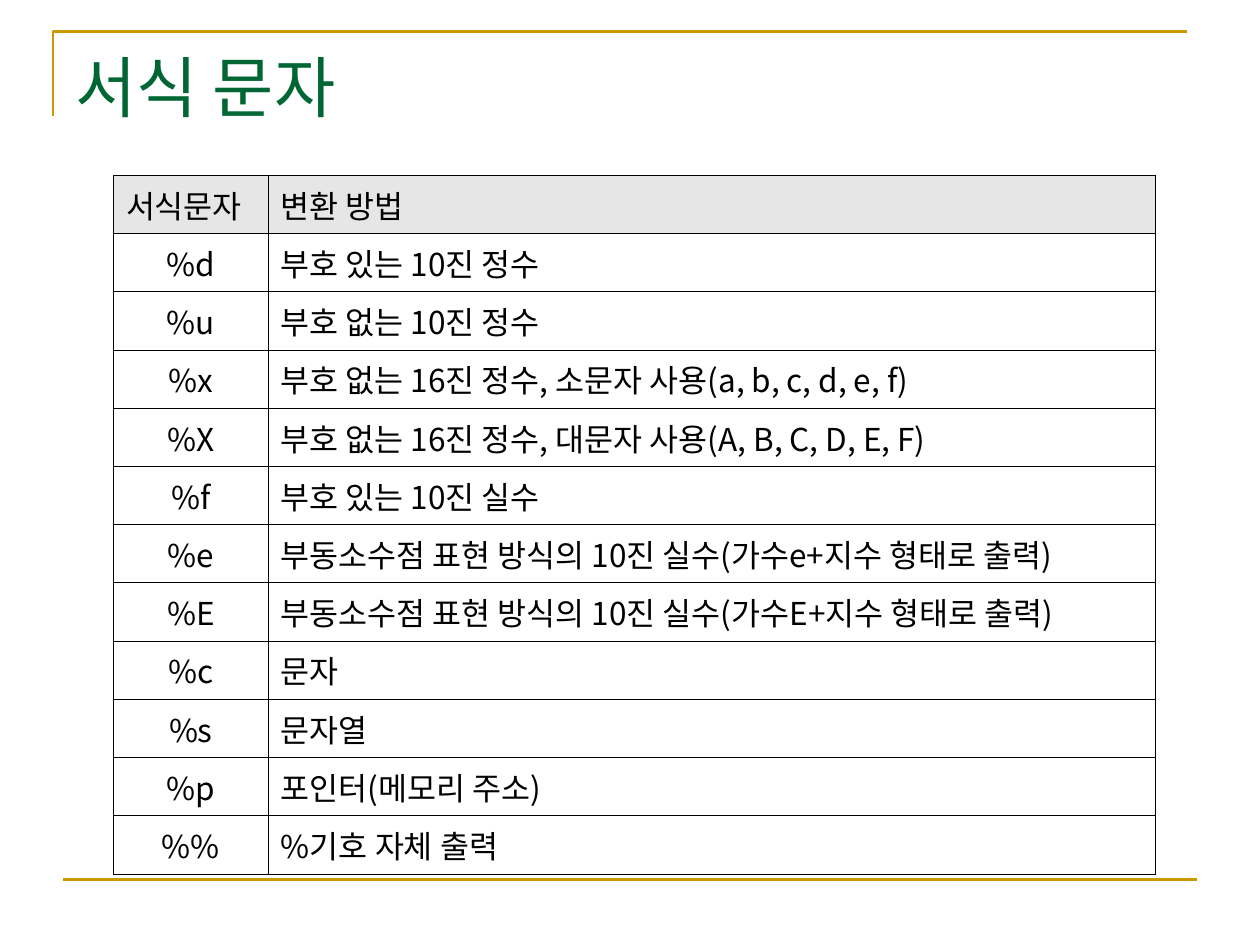
"""Build a slide that lists the format specifiers and their conversions."""
from lxml.etree import SubElement
from pptx import Presentation
from pptx.dml.color import RGBColor
from pptx.enum.shapes import MSO_CONNECTOR
from pptx.enum.text import MSO_ANCHOR, MSO_AUTO_SIZE, PP_ALIGN
from pptx.oxml.ns import qn
from pptx.util import Inches, Pt

HEADING = "서식 문자"
SPECIFIERS = [
    ("서식문자", "변환 방법"),
    ("%d", "부호 있는 10진 정수"),
    ("%u", "부호 없는 10진 정수"),
    ("%x", "부호 없는 16진 정수, 소문자 사용(a, b, c, d, e, f)"),
    ("%X", "부호 없는 16진 정수, 대문자 사용(A, B, C, D, E, F)"),
    ("%f", "부호 있는 10진 실수"),
    ("%e", "부동소수점 표현 방식의 10진 실수(가수e+지수 형태로 출력)"),
    ("%E", "부동소수점 표현 방식의 10진 실수(가수E+지수 형태로 출력)"),
    ("%c", "문자"),
    ("%s", "문자열"),
    ("%p", "포인터(메모리 주소)"),
    ("%%", "%기호 자체 출력"),
]
THEME = {
    "font": "Noto Sans CJK KR",
    "heading": "006633", "rule": "CC9900", "text": "000000",
    "grid": "000000", "header": "E6E6E6",
    "heading_size": 38, "text_size": 18, "rule_width": 1.5, "grid_width": 0.45,
}
CORNER = [(0.42, 0.92), (0.42, 0.25), (9.42, 0.25)]
FOOT_RULE = (0.5, 6.98, 9.5, 6.98)
HEADING_BOX = {"left": 0.5, "top": 0.3, "width": 9.3, "height": 0.77}
TABLE_LEFT, TABLE_TOP = 0.9, 1.39
COLUMN_WIDTHS = (1.23, 7.04)
ROW_HEIGHT = 0.44


def color(key):
    return RGBColor.from_string(THEME[key])


def write(frame, text, role, align):
    paragraph = frame.paragraphs[0]
    paragraph.alignment = align
    run = paragraph.add_run()
    run.text = text
    run.font.color.rgb = color(role)
    formats = {"name": THEME["font"], "size": Pt(THEME[f"{role}_size"]), "bold": False}
    for name, value in formats.items():
        setattr(run.font, name, value)
    SubElement(run.font._element, qn("a:ea"), typeface=THEME["font"])


def style_rule(rule):
    rule.line.color.rgb = color("rule")
    rule.line.width = Pt(THEME["rule_width"])


def add_rules(shapes):
    points = [(Inches(x), Inches(y)) for x, y in CORNER]
    builder = shapes.build_freeform(*points[0])
    builder.add_line_segments(points[1:], close=False)
    corner = builder.convert_to_shape()
    corner.shadow.inherit = False
    corner.fill.background()
    style_rule(corner)
    foot = shapes.add_connector(MSO_CONNECTOR.STRAIGHT, *map(Inches, FOOT_RULE))
    style_rule(foot)
    SubElement(foot._element.spPr, qn("a:effectLst"))


def add_heading(heading):
    for name, value in HEADING_BOX.items():
        setattr(heading, name, Inches(value))
    frame = heading.text_frame
    formats = {"vertical_anchor": MSO_ANCHOR.MIDDLE, "word_wrap": True,
               "auto_size": MSO_AUTO_SIZE.NONE}
    for name, value in formats.items():
        setattr(frame, name, value)
    write(frame, HEADING, "heading", PP_ALIGN.LEFT)


def add_borders(cell):
    properties = cell._tc.get_or_add_tcPr()
    for side in ("lnL", "lnR", "lnT", "lnB"):
        border = SubElement(properties, qn(f"a:{side}"), w=str(Pt(THEME["grid_width"])))
        fill = SubElement(border, qn("a:solidFill"))
        SubElement(fill, qn("a:srgbClr"), val=THEME["grid"])


def add_specifiers(shapes):
    rows = len(SPECIFIERS)
    table = shapes.add_table(
        rows, len(COLUMN_WIDTHS), Inches(TABLE_LEFT), Inches(TABLE_TOP),
        Inches(sum(COLUMN_WIDTHS)), Inches(ROW_HEIGHT * rows)).table
    table.first_row = table.horz_banding = False
    for column, width in zip(table.columns, COLUMN_WIDTHS):
        column.width = Inches(width)
    for r, texts in enumerate(SPECIFIERS):
        table.rows[r].height = Inches(ROW_HEIGHT)
        for c, text in enumerate(texts):
            cell = table.cell(r, c)
            cell.vertical_anchor = MSO_ANCHOR.MIDDLE
            add_borders(cell)
            if r == 0:
                cell.fill.solid()
                cell.fill.fore_color.rgb = color("header")
            else:
                cell.fill.background()
            align = PP_ALIGN.CENTER if r and c == 0 else PP_ALIGN.LEFT
            write(cell.text_frame, text, "text", align)


def main():
    deck = Presentation()
    deck.slide_width, deck.slide_height = Inches(10), Inches(7.5)
    slide = deck.slides.add_slide(deck.slide_layouts.get_by_name("Title Only"))
    add_rules(slide.shapes)
    add_heading(slide.shapes.title)
    add_specifiers(slide.shapes)
    deck.save("out.pptx")


if __name__ == "__main__":
    main()
